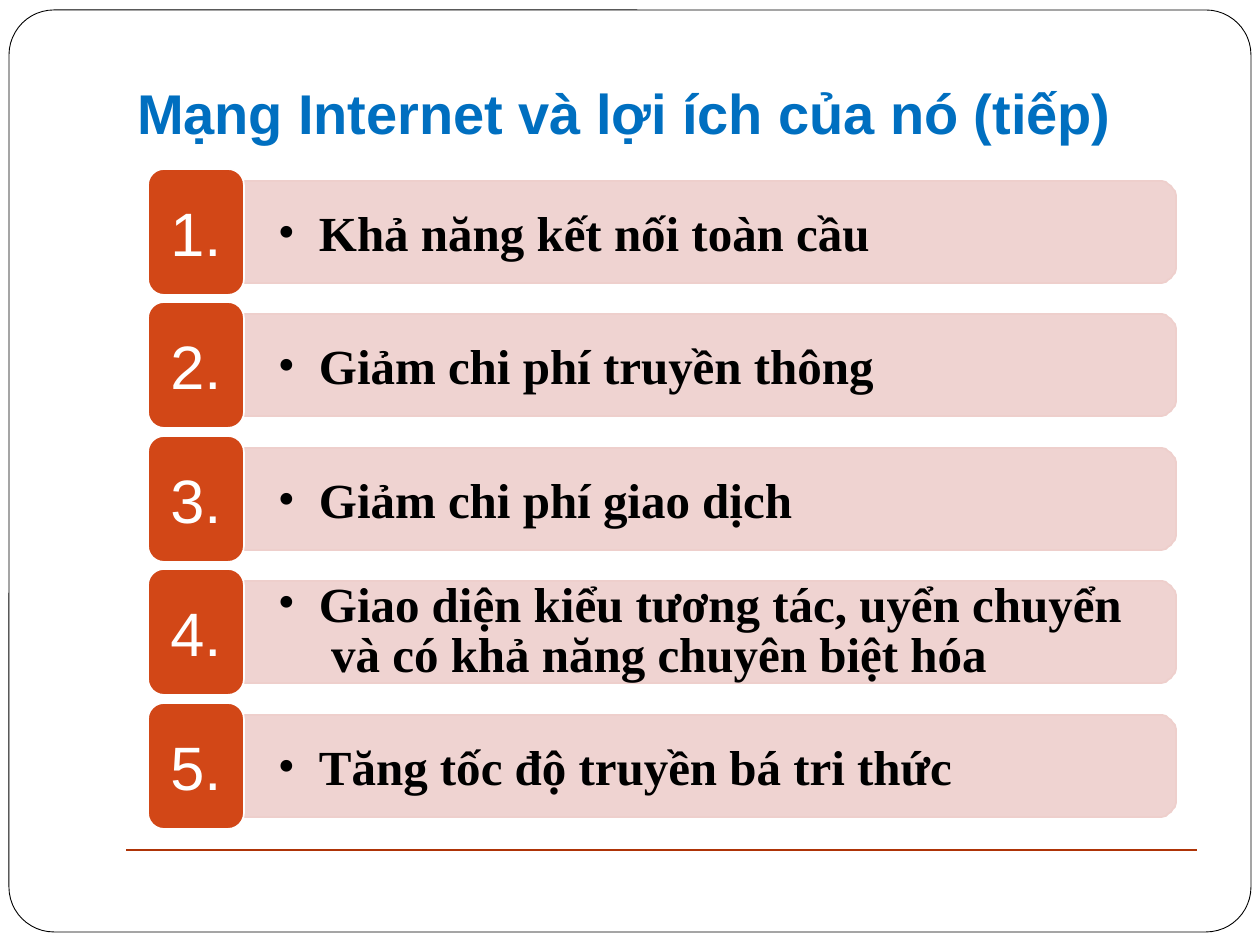
from dataclasses import dataclass
from math import cos, pi, sin

from lxml.etree import SubElement as Sub
from pptx import Presentation
from pptx.dml.color import RGBColor
from pptx.enum.shapes import MSO_CONNECTOR as Conn, MSO_SHAPE as Kind
from pptx.enum.text import MSO_ANCHOR as Anchor, PP_ALIGN as Align
from pptx.oxml.ns import qn
from pptx.util import Emu, Pt

SCALE = 914400 / 126
TOP, PITCH = 169, 133.4
INK, PINK, RUST, WHITE = "000000", "EECFCC", "D24717", "FFFFFF"


@dataclass
class Box:
    x: int
    y: int
    w: int
    h: int


@dataclass
class Item:
    text: str
    lead: float | None = None


ITEMS = [
    Item("Khả năng kết nối toàn cầu"),
    Item("Giảm chi phí truyền thông"),
    Item("Giảm chi phí giao dịch"),
    Item("Giao diện kiểu tương tác, uyển chuyển\v và có khả năng chuyên biệt hóa", 29),
    Item("Tăng tốc độ truyền bá tri thức"),
]

TITLE = {"name": "Arial", "size": Pt(32), "bold": True}
DIGIT = {"name": "Arial", "size": Pt(35), "bold": False}
LABEL = {"name": "Times New Roman", "size": Pt(28), "bold": True}


def px(n: float) -> Emu:
    return Emu(round(n * SCALE))


def rgb(code: str) -> RGBColor:
    return RGBColor.from_string(code)


def place(box: Box) -> tuple:
    return px(box.x), px(box.y), px(box.w), px(box.h)


def paint(shape, fill: str | None, line: str, width: float) -> None:
    shape.shadow.inherit = False
    if fill:
        shape.fill.solid()
        shape.fill.fore_color.rgb = rgb(fill)
    else:
        shape.fill.background()
    shape.line.color.rgb = rgb(line)
    shape.line.width = Pt(width)


def write(shape, text: str, look: dict, color: str, align: Align, left: int = 0):
    frame = shape.text_frame
    frame.word_wrap = True
    frame.vertical_anchor = Anchor.MIDDLE
    edges = {"margin_left": px(left), "margin_right": 0,
             "margin_top": 0, "margin_bottom": 0}
    for key, val in edges.items():
        setattr(frame, key, val)
    para = frame.paragraphs[0]
    para.text = text
    para.alignment = align
    for run in para.runs:
        for key, val in look.items():
            setattr(run.font, key, val)
        run.font.color.rgb = rgb(color)
    return para


def rounded(slide, box: Box, radius: int):
    shape = slide.shapes.add_shape(Kind.ROUNDED_RECTANGLE, *place(box))
    shape.adjustments[0] = radius / min(box.w, box.h)
    return shape


def tab(slide, box: Box, radius: int):
    """Draw a bar that is square on the left and round on the right."""
    right, low = box.x + box.w, box.y + box.h
    turns = [i * pi / 16 for i in range(9)]
    upper = [(right - radius + radius * sin(t), box.y + radius - radius * cos(t))
             for t in turns]
    lower = [(x, box.y + low - y) for x, y in reversed(upper)]
    pen = slide.shapes.build_freeform(box.x, box.y, scale=SCALE)
    pen.add_line_segments(upper + lower + [(box.x, low)], close=True)
    return pen.convert_to_shape()


def bullet(para, indent: int) -> None:
    props = para._p.get_or_add_pPr()
    props.set("marL", str(px(indent)))
    props.set("indent", str(-px(indent)))
    Sub(props, qn("a:buFont"), typeface="Times New Roman")
    Sub(props, qn("a:buChar"), char="•")


def row(slide, rank: int, item: Item) -> None:
    top = round(TOP + rank * PITCH)
    bar = tab(slide, Box(244, top + 12, 932, 102), 17)
    paint(bar, PINK, PINK, 1)
    Sub(bar.fill._xPr.find(".//" + qn("a:srgbClr")), qn("a:alpha"), val="90000")
    para = write(bar, item.text, LABEL, INK, Align.LEFT, 34)
    if item.lead:
        para.line_spacing = Pt(item.lead)
    bullet(para, 41)

    badge = rounded(slide, Box(148, top, 96, 126), 16)
    paint(badge, RUST, WHITE, 1)
    write(badge, f"{rank + 1}.", DIGIT, WHITE, Align.CENTER)


def main() -> None:
    deck = Presentation()
    deck.slide_width, deck.slide_height = px(1260), px(945)
    slide = deck.slides.add_slide(deck.slide_layouts[6])

    paint(rounded(slide, Box(9, 10, 1242, 922), 45), None, INK, 0.5)
    rule = slide.shapes.add_connector(
        Conn.STRAIGHT, px(126), px(850), px(1197), px(850))
    rule.line.color.rgb = rgb("AE3408")
    rule.line.width = Pt(0.75)
    Sub(rule._element.spPr, qn("a:effectLst"))

    title = slide.shapes.add_textbox(*place(Box(137, 77, 990, 71)))
    para = write(title, "Mạng Internet và lợi ích của nó (tiếp)",
                 TITLE, "006FC0", Align.LEFT)
    para.runs[0].font._element.set("spc", "-5")

    for rank, item in enumerate(ITEMS):
        row(slide, rank, item)
    deck.save("out.pptx")


if __name__ == "__main__":
    main()
